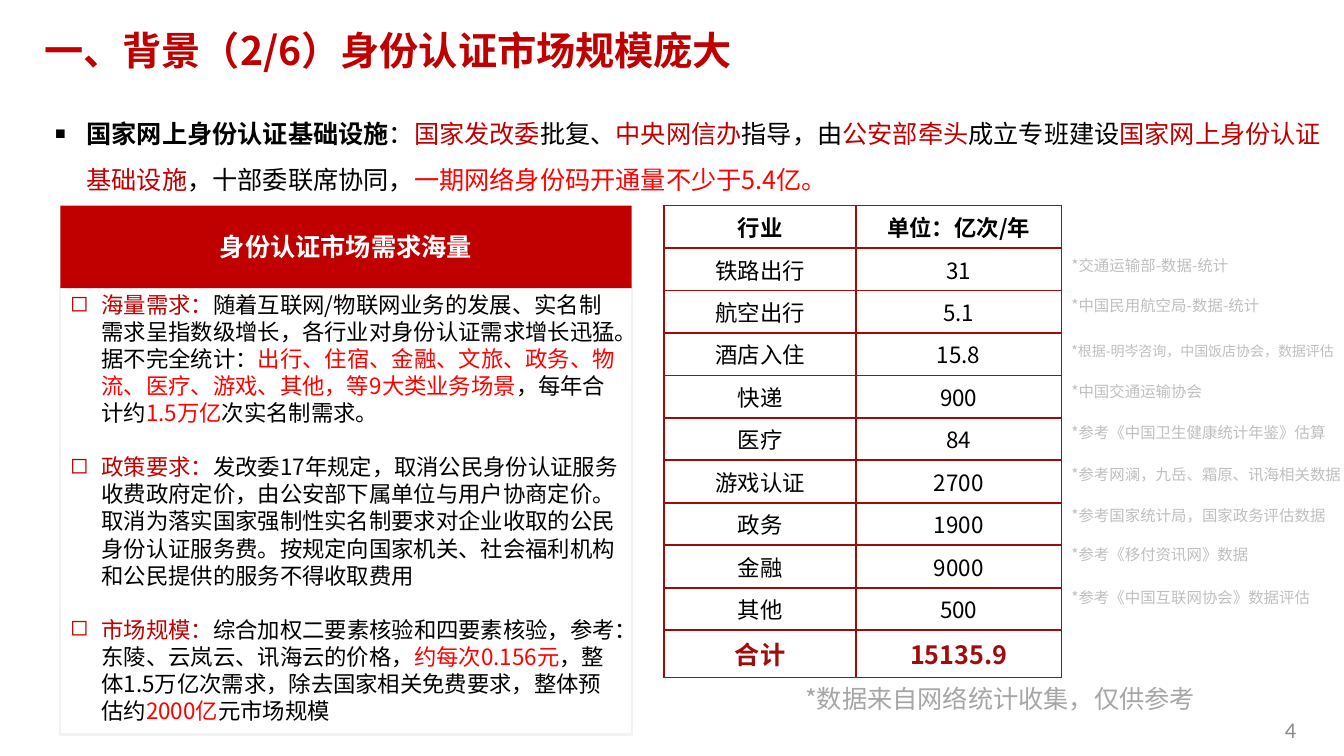
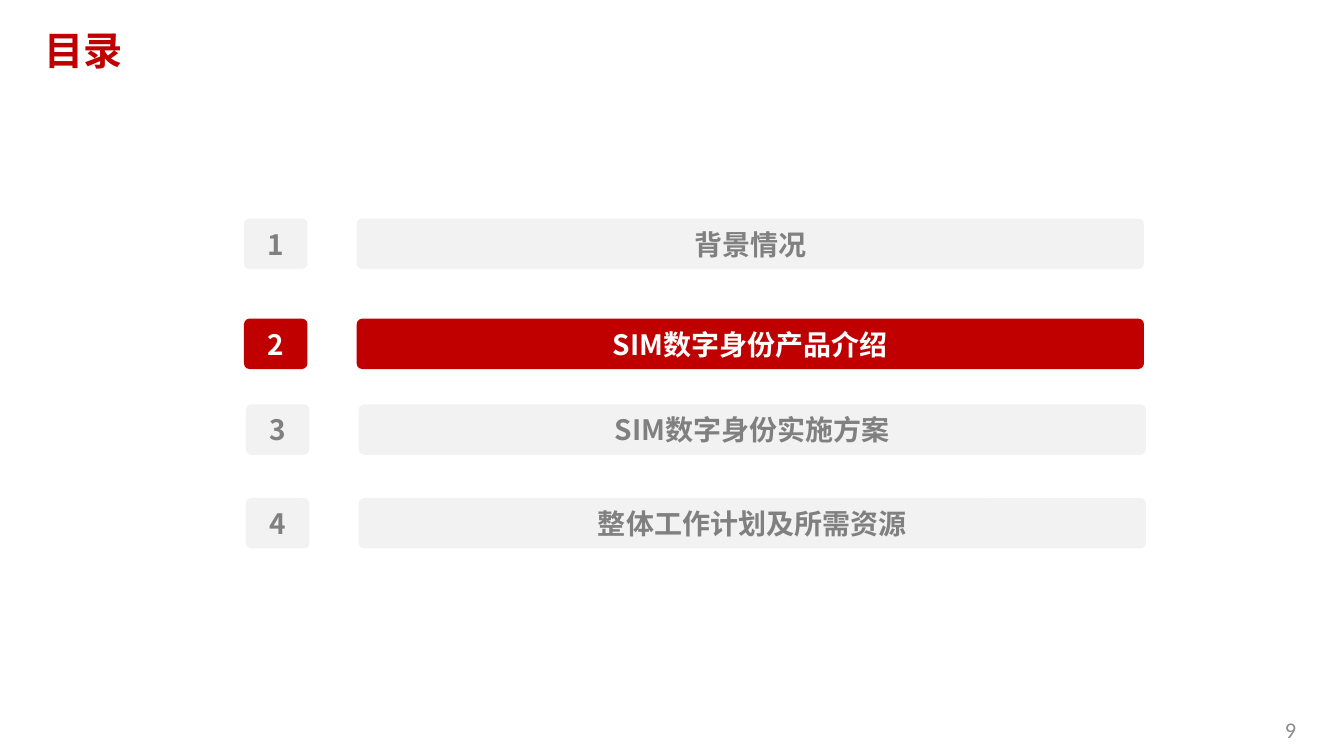
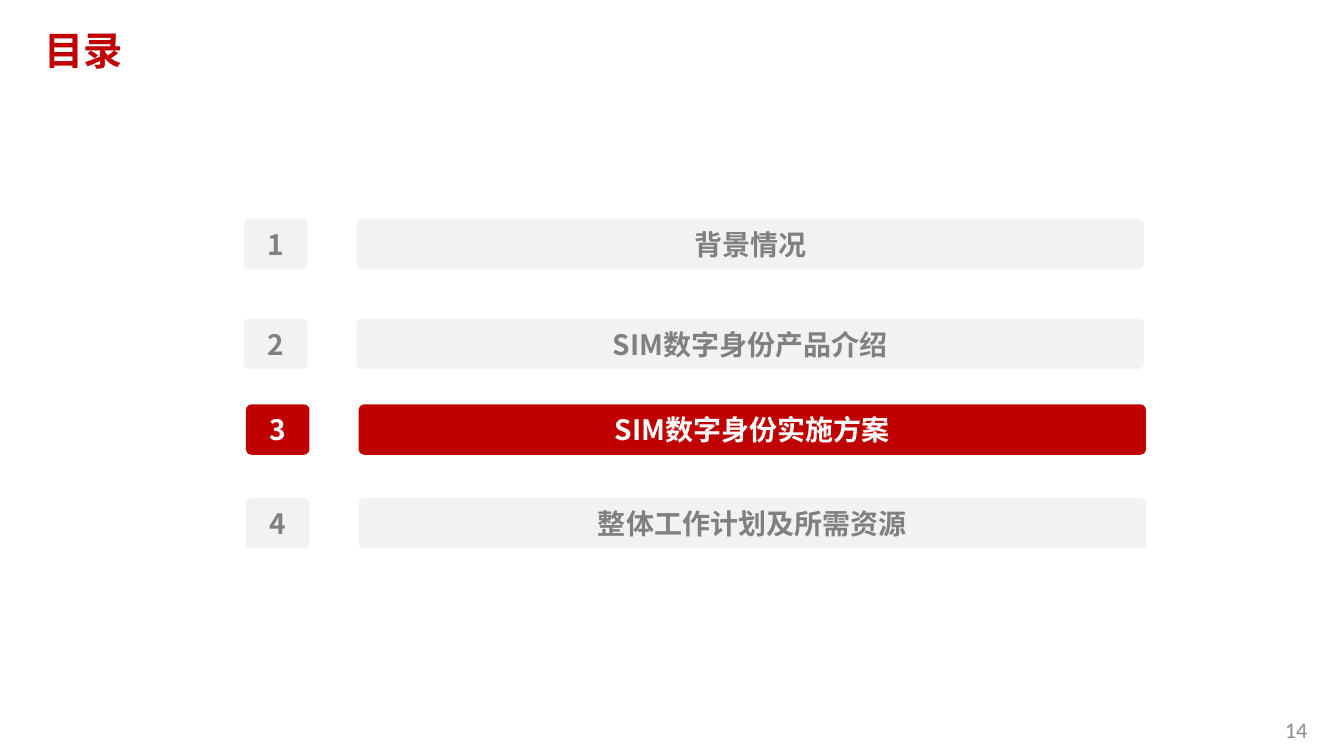
from lxml.etree import SubElement
from pptx import Presentation
from pptx.dml.color import RGBColor
from pptx.enum.shapes import MSO_SHAPE
from pptx.enum.text import MSO_ANCHOR, MSO_AUTO_SIZE, PP_ALIGN
from pptx.oxml.ns import qn
from pptx.util import Cm, Pt

FONT = "Noto Sans CJK SC"
RED = RGBColor(0xC0, 0x00, 0x00)
BRIGHT_RED = RGBColor(0xFF, 0x00, 0x00)
DARK_RED = RGBColor(0xA0, 0x0C, 0x0C)
BLACK = RGBColor(0x00, 0x00, 0x00)
WHITE = RGBColor(0xFF, 0xFF, 0xFF)
PALE_GREY = RGBColor(0xF2, 0xF2, 0xF2)
NOTE_GREY = RGBColor(0xBF, 0xBF, 0xBF)
SOURCE_GREY = RGBColor(0xA6, 0xA6, 0xA6)
PAGE_GREY = RGBColor(0x8C, 0x8C, 0x8C)
LABEL_GREY = RGBColor(0x80, 0x80, 0x80)

TITLE_ONLY, TITLE_AND_BODY = 5, 1
TITLE_BOX = (0.94, 0.33, 32.46, 1.83)
TITLE_INSETS = (0.18, 0.1)
PAGE_BOX = (32.13, 17.91, 1.17, 0.94)
LABEL_INSETS = (0.2, 0.13)
BULLET_INDENT = Cm(0.79)

MARKET_TITLE = "一、背景（2/6）身份认证市场规模庞大"
INTRO = [
    ("国家网上身份认证基础设施", BLACK, True),
    ("：", BLACK),
    ("国家发改委", RED),
    ("批复、", BLACK),
    ("中央网信办", RED),
    ("指导，由", BLACK),
    ("公安部牵头", RED),
    ("成立专班建设", BLACK),
    ("国家网上身份认证基础设施", RED),
    ("，十部委联席协同，", BLACK),
    ("一期网络身份码开通量不少于5.4亿。", BRIGHT_RED),
]
DEMAND_HEADING = "身份认证市场需求海量"
DEMAND = [
    [
        ("海量需求：", RED),
        ("随着互联网/物联网业务的发展、实名制需求呈指数级增长，"
         "各行业对身份认证需求增长迅猛。据不完全统计：", BLACK),
        ("出行、住宿、金融、文旅、政务、物流、医疗、游戏、其他，等9大类业务场景", BRIGHT_RED),
        ("，每年合计约", BLACK),
        ("1.5万亿", BRIGHT_RED),
        ("次实名制需求。", BLACK),
    ],
    [
        ("政策要求：", RED),
        ("发改委17年规定，取消公民身份认证服务收费政府定价，由公安部下属单位与用户协商定价。"
         "取消为落实国家强制性实名制要求对企业收取的公民身份认证服务费。"
         "按规定向国家机关、社会福利机构和公民提供的服务不得收取费用", BLACK),
    ],
    [
        ("市场规模：", RED),
        ("综合加权二要素核验和四要素核验，参考：东陵、云岚云、讯海云的价格，", BLACK),
        ("约每次0.156元", BRIGHT_RED),
        ("，整体1.5万亿次需求，除去国家相关免费要求，整体预估约", BLACK),
        ("2000亿", BRIGHT_RED),
        ("元市场规模", BLACK),
    ],
]
INDUSTRIES = [
    ("行业", "单位：亿次/年"),
    ("铁路出行", "31"),
    ("航空出行", "5.1"),
    ("酒店入住", "15.8"),
    ("快递", "900"),
    ("医疗", "84"),
    ("游戏认证", "2700"),
    ("政务", "1900"),
    ("金融", "9000"),
    ("其他", "500"),
    ("合计", "15135.9"),
]
SOURCE_NOTE = "*数据来自网络统计收集，仅供参考"
# text, top, width, size
NOTES = [
    ("*交通运输部-数据-统计", 6.32, 6.2, 11),
    ("*中国民用航空局-数据-统计", 7.34, 6.2, 11),
    ("*根据-明岑咨询，中国饭店协会，数据评估", 8.51, 7.14, 10),
    ("*中国交通运输协会", 9.5, 7.01, 11),
    ("*参考《中国卫生健康统计年鉴》估算", 10.54, 7.14, 11),
    ("*参考网澜，九岳、霜原、讯海相关数据", 11.58, 7.39, 11),
    ("*参考国家统计局，国家政务评估数据", 12.62, 7.39, 11),
    ("*参考《移付资讯网》数据", 13.61, 7.39, 11),
    ("*参考《中国互联网协会》数据评估", 14.68, 7.39, 11),
]
AGENDA_TITLE = "目录"
# text, left, top
AGENDA = [
    ("背景情况", 6.15, 5.51),
    ("SIM数字身份产品介绍", 6.15, 8.03),
    ("SIM数字身份实施方案", 6.2, 10.19),
    ("整体工作计划及所需资源", 6.2, 12.55),
]
AGENDA_PAGES = [(2, "9"), (3, "14")]


def place(shape, box):
    for name, value in zip(("left", "top", "width", "height"), box):
        setattr(shape, name, Cm(value))


def add_run(paragraph, text, color, size, bold=False, font=FONT):
    run = paragraph.add_run()
    run.text = text
    values = {"name": font, "size": Pt(size), "bold": bold}
    for name, value in values.items():
        setattr(run.font, name, value)
    run.font.color.rgb = color
    SubElement(run.font._element, qn("a:ea")).set("typeface", font)


def set_frame(frame, insets=(0.25, 0.13), anchor=MSO_ANCHOR.TOP):
    side, vertical = map(Cm, insets)
    values = {
        "word_wrap": True,
        "auto_size": MSO_AUTO_SIZE.NONE,
        "vertical_anchor": anchor,
        "margin_left": side,
        "margin_right": side,
        "margin_top": vertical,
        "margin_bottom": vertical,
    }
    for name, value in values.items():
        setattr(frame, name, value)


def set_spacing(paragraph, line=None, before=0, after=0, align=PP_ALIGN.LEFT):
    values = {
        "alignment": align,
        "space_before": Pt(before),
        "space_after": Pt(after),
        "line_spacing": Pt(line) if line else None,
    }
    for name, value in values.items():
        setattr(paragraph, name, value)


def set_bullet(paragraph, character, percent=100):
    properties = paragraph._p.get_or_add_pPr()
    properties.set("marL", str(BULLET_INDENT))
    properties.set("indent", str(-BULLET_INDENT))
    SubElement(properties, qn("a:buSzPct")).set("val", str(percent * 1000))
    SubElement(properties, qn("a:buChar")).set("char", character)


def add_text(slide, box, text, color, size, line=None, font=FONT):
    shape = slide.shapes.add_textbox(*map(Cm, box))
    set_frame(shape.text_frame)
    paragraph = shape.text_frame.paragraphs[0]
    set_spacing(paragraph, line)
    add_run(paragraph, text, color, size, font=font)


def add_panel(shapes, kind, box, fill=None, line=None):
    shape = shapes.add_shape(kind, *map(Cm, box))
    shape.shadow.inherit = False
    if fill is None:
        shape.fill.background()
    else:
        shape.fill.solid()
        shape.fill.fore_color.rgb = fill
    if line is None:
        shape.line.fill.background()
    else:
        shape.line.color.rgb = line
        shape.line.width = Pt(1.5)
    return shape


def add_slide(presentation, layout, title, page):
    slide = presentation.slides.add_slide(presentation.slide_layouts[layout])
    place(slide.shapes.title, TITLE_BOX)
    frame = slide.shapes.title.text_frame
    set_frame(frame, TITLE_INSETS, MSO_ANCHOR.MIDDLE)
    set_spacing(frame.paragraphs[0])
    add_run(frame.paragraphs[0], title, RED, 28, bold=True)
    add_text(slide, PAGE_BOX, page, PAGE_GREY, 16, font="Calibri")
    return slide


def set_borders(cell):
    properties = cell._tc.get_or_add_tcPr()
    for index, side in enumerate(("lnL", "lnR", "lnT", "lnB")):
        border = properties.makeelement(qn(f"a:{side}"), {"w": str(Pt(1.5))})
        fill = SubElement(border, qn("a:solidFill"))
        SubElement(fill, qn("a:srgbClr")).set("val", str(DARK_RED))
        properties.insert(index, border)


def add_industry_table(slide):
    last = len(INDUSTRIES) - 1
    heights = [1.07] * last + [1.19]
    widths = (4.83, 5.18)
    box = (16.74, 5.18, sum(widths), sum(heights))
    table = slide.shapes.add_table(len(INDUSTRIES), 2, *map(Cm, box)).table
    table.horz_banding = False
    for column, width in zip(table.columns, widths):
        column.width = Cm(width)
    for index, texts in enumerate(INDUSTRIES):
        table.rows[index].height = Cm(heights[index])
        color, size = (DARK_RED, 18) if index == last else (BLACK, 16)
        for cell, text in zip(table.rows[index].cells, texts):
            cell.fill.background()
            set_borders(cell)
            cell.vertical_anchor = MSO_ANCHOR.MIDDLE
            paragraph = cell.text_frame.paragraphs[0]
            set_spacing(paragraph, align=PP_ALIGN.CENTER)
            add_run(paragraph, text, color, size, bold=index in (0, last))


def add_demand_card(slide):
    left, top, width, heading_height = 1.52, 5.18, 14.4, 2.08
    card = add_panel(slide.shapes, MSO_SHAPE.RECTANGLE,
                     (left, 7.21, width, 11.3), line=PALE_GREY)
    frame = card.text_frame
    set_frame(frame)
    line = 19.3
    for index, parts in enumerate(DEMAND):
        paragraph = frame.add_paragraph() if index else frame.paragraphs[0]
        set_bullet(paragraph, "◻")
        set_spacing(paragraph, line, before=line if index else 0)
        for text, color in parts:
            add_run(paragraph, text, color, 16)

    heading = add_panel(slide.shapes, MSO_SHAPE.RECTANGLE,
                        (left, top, width, heading_height), RED)
    set_frame(heading.text_frame, anchor=MSO_ANCHOR.MIDDLE)
    paragraph = heading.text_frame.paragraphs[0]
    set_spacing(paragraph, after=6, align=PP_ALIGN.CENTER)
    add_run(paragraph, DEMAND_HEADING, WHITE, 18, bold=True)


def build_market(presentation):
    slide = add_slide(presentation, TITLE_AND_BODY, MARKET_TITLE, "4")
    body = slide.placeholders[1]
    place(body, (1.14, 2.44, 32.61, 2.57))
    set_frame(body.text_frame)
    paragraph = body.text_frame.paragraphs[0]
    set_bullet(paragraph, "■", 70)
    set_spacing(paragraph, 33)
    for text, color, *bold in INTRO:
        add_run(paragraph, text, color, 18, bool(bold))

    add_industry_table(slide)
    add_text(slide, (20.04, 17.09, 10.39, 1.04), SOURCE_NOTE, SOURCE_GREY, 18, 21.6)
    add_demand_card(slide)
    for text, top, width, size in NOTES:
        add_text(slide, (26.75, top, width, 0.74), text, NOTE_GREY, size, size * 1.2)


def build_agenda(presentation, current, page):
    slide = add_slide(presentation, TITLE_ONLY, AGENDA_TITLE, page)
    for number, (text, left, top) in enumerate(AGENDA, 1):
        fill, color = (RED, WHITE) if number == current else (PALE_GREY, LABEL_GREY)
        group = slide.shapes.add_group_shape()
        for label, start, width in ((text, left + 2.84, 19.84), (str(number), left, 1.6)):
            tile = add_panel(group.shapes, MSO_SHAPE.ROUNDED_RECTANGLE,
                             (start, top, width, 1.27), fill)
            tile.adjustments[0] = 0.11
            set_frame(tile.text_frame, LABEL_INSETS, MSO_ANCHOR.MIDDLE)
            paragraph = tile.text_frame.paragraphs[0]
            set_spacing(paragraph, align=PP_ALIGN.CENTER)
            add_run(paragraph, label, color, 20, bold=True)


def main():
    presentation = Presentation()
    presentation.slide_width, presentation.slide_height = Cm(33.87), Cm(19.05)
    build_market(presentation)
    for current, page in AGENDA_PAGES:
        build_agenda(presentation, current, page)
    presentation.save("out.pptx")


if __name__ == "__main__":
    main()
